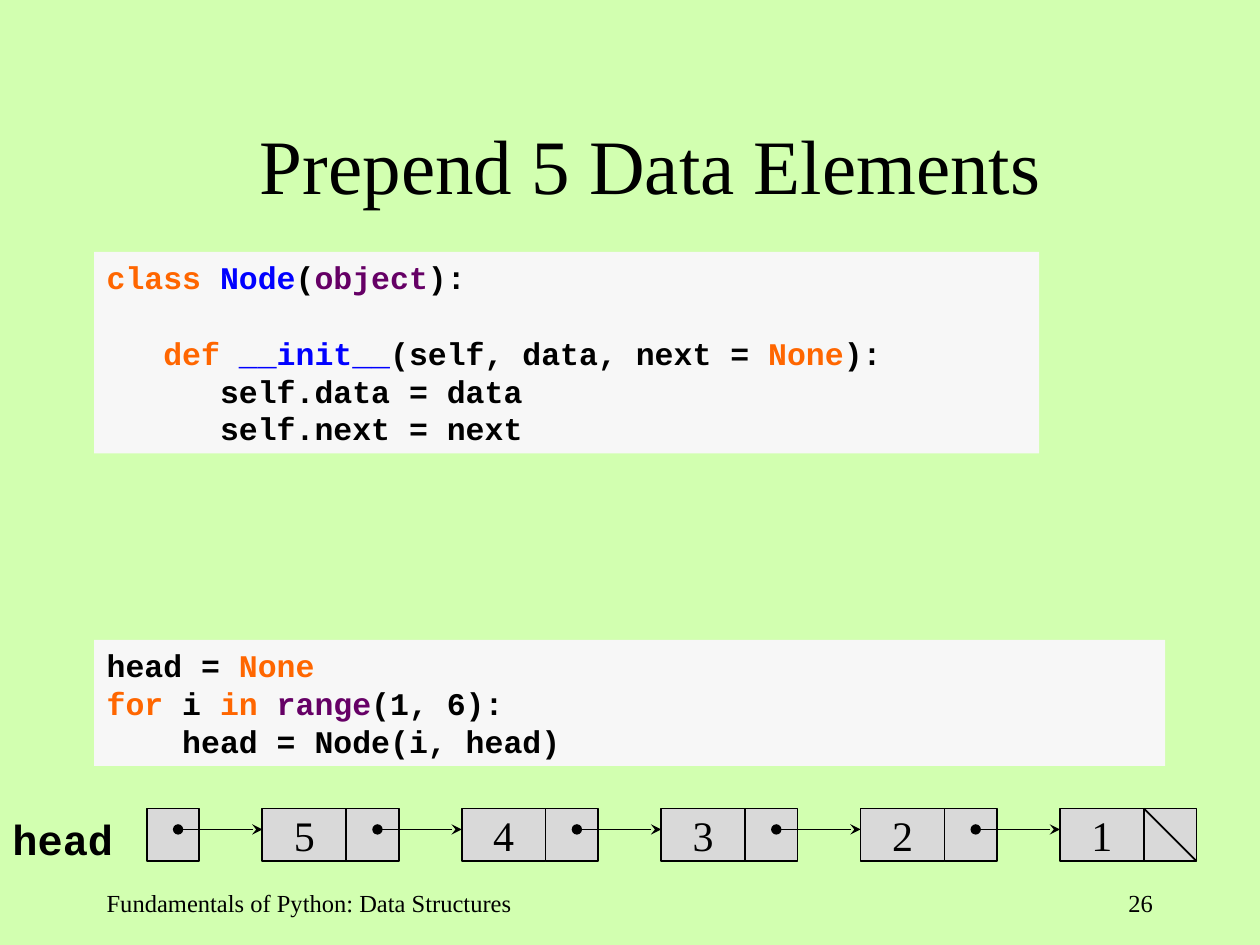
from dataclasses import dataclass

from lxml.etree import SubElement
from pptx import Presentation
from pptx.dml.color import RGBColor
from pptx.enum.shapes import MSO_CONNECTOR as Link, MSO_SHAPE as Shape
from pptx.enum.text import MSO_ANCHOR as Anchor, PP_ALIGN as Align
from pptx.oxml.ns import qn
from pptx.slide import Slide
from pptx.util import Cm, Pt

BLACK = RGBColor(0x00, 0x00, 0x00)
GREEN = RGBColor(0xD2, 0xFF, 0xB0)
PALE = RGBColor(0xF7, 0xF7, 0xF7)
GREY = RGBColor(0xD9, 0xD9, 0xD9)
ORANGE = RGBColor(0xFF, 0x66, 0x00)
BLUE = RGBColor(0x00, 0x00, 0xFF)
PURPLE = RGBColor(0x66, 0x00, 0x66)

CLASS_CODE = [
    (0, 0, [("class ", ORANGE), ("Node", BLUE), ("(", BLACK), ("object", PURPLE), ("):", BLACK)]),
    (3, 1, [("def ", ORANGE), ("__init__", BLUE), ("(self, data, next = ", BLACK),
            ("None", ORANGE), ("):", BLACK)]),
    (6, 0, [("self.data = data", BLACK)]),
    (6, 0, [("self.next = next", BLACK)]),
]
LOOP_CODE = [
    (0, 0, [("head = ", BLACK), ("None", ORANGE)]),
    (0, 0, [("for ", ORANGE), ("i ", BLACK), ("in ", ORANGE), ("range", PURPLE), ("(1, 6):", BLACK)]),
    (4, 0, [("head = Node(i, head)", BLACK)]),
]


@dataclass
class SlideBuilder:
    """Draw text, code and linked nodes on one slide in a shared style."""

    page: Slide
    serif: str = "Times New Roman"
    mono: str = "Courier New"
    code_size: float = 18
    code_pitch: float = 21.6
    cell: float = 1.06
    data_width: float = 1.69

    def add_span(self, para, text, size, font, color=BLACK, bold=False):
        span = para.add_run()
        span.text = text
        span.font.size = Pt(size)
        span.font.name = font
        span.font.bold = bold
        span.font.color.rgb = color

    def title(self, text, left, top, width, height):
        box = self.page.shapes.title
        box.left, box.top, box.width, box.height = Cm(left), Cm(top), Cm(width), Cm(height)
        box.text_frame.vertical_anchor = Anchor.MIDDLE
        para = box.text_frame.paragraphs[0]
        para.alignment = Align.CENTER
        self.add_span(para, text, 44, self.serif)

    def label(self, text, left, top, width, size, font, align=Align.LEFT, bold=False, wrap=True):
        box = self.page.shapes.add_textbox(Cm(left), Cm(top), Cm(width), Cm(1.27))
        box.text_frame.word_wrap = wrap
        para = box.text_frame.paragraphs[0]
        para.alignment = align
        self.add_span(para, text, size, font, bold=bold)

    def rectangle(self, left, top, width, height, fill, outlined=True):
        box = self.page.shapes.add_shape(Shape.RECTANGLE, Cm(left), Cm(top), Cm(width), Cm(height))
        box.shadow.inherit = False
        box.fill.solid()
        box.fill.fore_color.rgb = fill
        if outlined:
            box.line.color.rgb = BLACK
            box.line.width = Pt(1)
        else:
            box.line.fill.background()
        return box

    def code(self, lines, left, top, width, height):
        frame = self.rectangle(left, top, width, height, PALE, outlined=False).text_frame
        frame.word_wrap = True
        frame.vertical_anchor = Anchor.TOP
        for index, (indent, gap, spans) in enumerate(lines):
            para = frame.add_paragraph() if index else frame.paragraphs[0]
            para.alignment = Align.LEFT
            para.line_spacing = Pt(self.code_pitch)
            para.space_before = Pt(gap * self.code_pitch)
            margin = Pt(indent * self.code_size * 0.6)
            para._p.get_or_add_pPr().set("marL", str(margin))
            for text, color in spans:
                self.add_span(para, text, self.code_size, self.mono, color, bold=True)

    def line(self, x1, y1, x2, y2, arrow=False):
        link = self.page.shapes.add_connector(Link.STRAIGHT, Cm(x1), Cm(y1), Cm(x2), Cm(y2))
        link.line.color.rgb = BLACK
        link.line.width = Pt(1)
        if arrow:
            outline = link.line._get_or_add_ln()
            SubElement(outline, qn("a:headEnd"), type="oval")
            SubElement(outline, qn("a:tailEnd"), type="stealth")
        SubElement(link._element.spPr, qn("a:effectLst"))

    def node(self, text, left, top):
        self.rectangle(left + self.data_width, top, self.cell, self.cell, GREY)
        frame = self.rectangle(left, top, self.data_width, self.cell, GREY).text_frame
        frame.word_wrap = False
        frame.vertical_anchor = Anchor.MIDDLE
        para = frame.paragraphs[0]
        para.alignment = Align.CENTER
        self.add_span(para, text, 24, self.serif)

    def linked_list(self, values, left, top, pitch):
        self.rectangle(2.96, top, self.cell, self.cell, GREY)
        for index, value in enumerate(values):
            self.node(value, left + index * pitch, top)
        for index in range(len(values)):
            x = left + index * pitch
            self.line(x - 1.7, top + 0.42, x, top + 0.42, arrow=True)
        end = left + (len(values) - 1) * pitch + self.data_width
        self.line(end, top, end + self.cell, top + self.cell)


def main():
    deck = Presentation()
    deck.slide_width, deck.slide_height = Cm(25.4), Cm(19.05)
    page = deck.slides.add_slide(deck.slide_layouts[5])
    page.background.fill.solid()
    page.background.fill.fore_color.rgb = GREEN

    builder = SlideBuilder(page)
    builder.title("Prepend 5 Data Elements", 1.9, 1.7, 22.43, 3.18)
    builder.code(LOOP_CODE, 1.9, 12.9, 21.59, 2.54)
    builder.linked_list("54321", 5.29, 16.3, 4.02)
    builder.label("head", 0, 16.28, 2.54, 24, builder.mono, bold=True, wrap=False)
    builder.code(CLASS_CODE, 1.9, 5.08, 19.05, 4.06)
    builder.label("Fundamentals of Python: Data Structures", 1.9, 17.78, 9.1, 14, builder.serif)
    builder.label("26", 18.2, 17.78, 5.29, 14, builder.serif, Align.RIGHT)
    deck.save("out.pptx")


if __name__ == "__main__":
    main()
